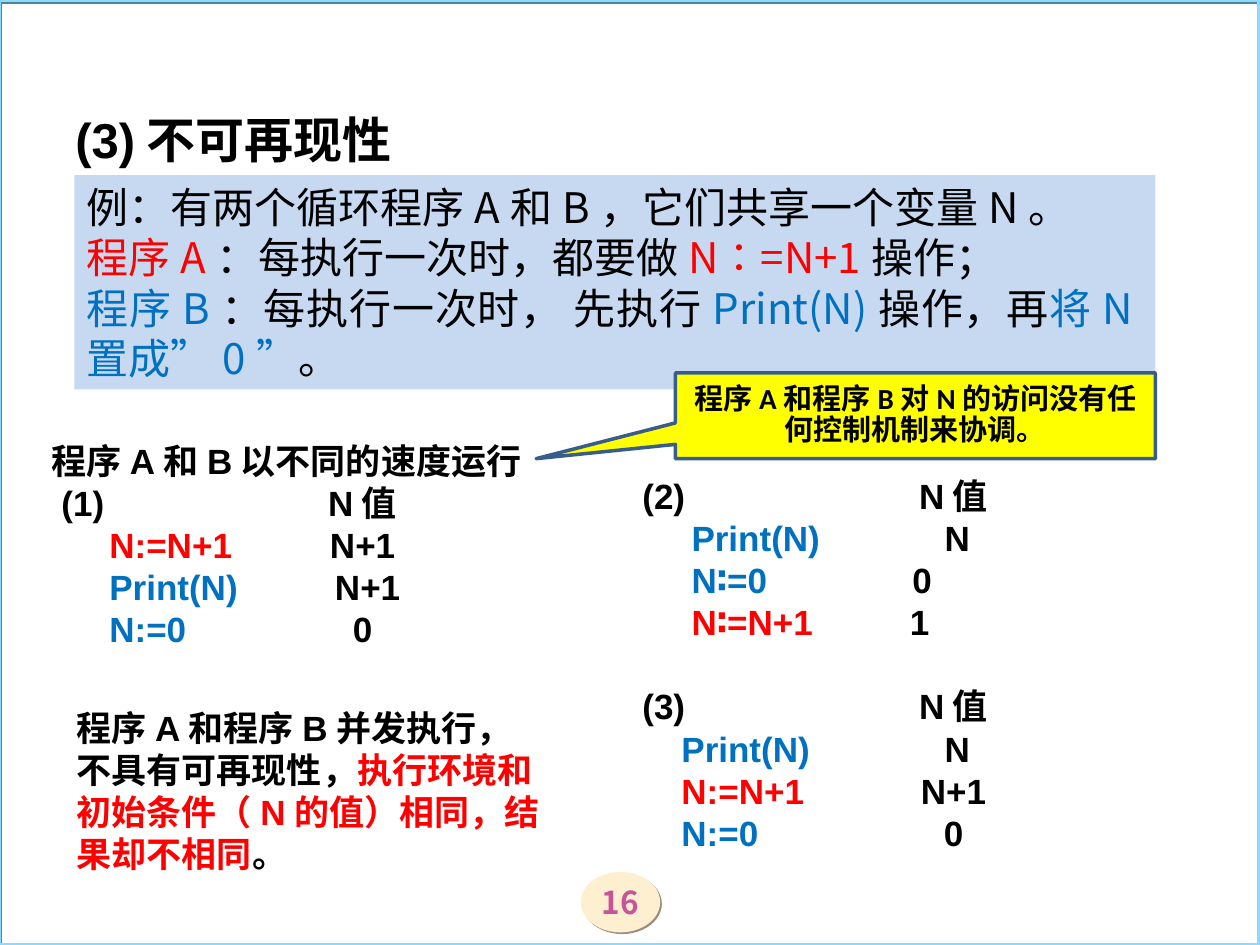
"""Build the slide on why concurrent programs are not reproducible."""
from lxml import etree
from pptx import Presentation
from pptx.dml.color import RGBColor
from pptx.enum.lang import MSO_LANGUAGE_ID
from pptx.enum.shapes import MSO_SHAPE
from pptx.enum.text import MSO_ANCHOR, PP_ALIGN
from pptx.oxml.ns import qn
from pptx.util import Inches, Pt

RECT, OVAL, CALL = MSO_SHAPE.RECTANGLE, MSO_SHAPE.OVAL, MSO_SHAPE.RECTANGULAR_CALLOUT
LEFT, MID, EVEN = PP_ALIGN.LEFT, PP_ALIGN.CENTER, PP_ALIGN.JUSTIFY
CHINESE = MSO_LANGUAGE_ID.CHINESE_SINGAPORE
CENTER = MSO_ANCHOR.MIDDLE
BLACK = RGBColor(0x00, 0x00, 0x00)
RED = RGBColor(0xFF, 0x00, 0x00)
BLUE = RGBColor(0x00, 0x70, 0xC0)
PINK = RGBColor(0xC7, 0x53, 0x99)
CREAM = RGBColor(0xFF, 0xEF, 0xD1)
PALE = RGBColor(0xC6, 0xD9, 0xF1)
YELLOW = RGBColor(0xFF, 0xFF, 0x00)
SKY = RGBColor(0x8A, 0xDB, 0xFF)
NAVY = RGBColor(0x38, 0x5D, 0x8A)
NOTO = "Noto Sans CJK SC"

deck = Presentation()
deck.slide_width, deck.slide_height = Inches(10), Inches(7.5)
COL, ROW = deck.slide_width // 100, deck.slide_height // 100
slide = deck.slides.add_slide(deck.slide_layouts[6])


def place(kind, x, y, wide, high, fill=None, edge=None, thick=0):
    """Put a shape, or a text box when kind is None, on the percent grid."""
    box = [int(x * COL), int(y * ROW), int(wide * COL), int(high * ROW)]
    if kind is None:
        return slide.shapes.add_textbox(*box)
    shape = slide.shapes.add_shape(kind, *box)
    shape.shadow.inherit = False
    if fill is None:
        shape.fill.background()
    else:
        shape.fill.solid()
        shape.fill.fore_color.rgb = fill
    if edge is None:
        shape.line.fill.background()
    else:
        shape.line.color.rgb = edge
        shape.line.width = Pt(thick)
    return shape


def write(shape, lines, size, face="Arial", bold=True, align=EVEN, anchor=MSO_ANCHOR.TOP):
    """Fill a shape with lines of (text, colour) runs and return its paragraphs."""
    frame = shape.text_frame
    frame.word_wrap = True
    frame.vertical_anchor = anchor
    for i, line in enumerate(lines):
        para = frame.add_paragraph() if i else frame.paragraphs[0]
        para.alignment = align
        for text, color in line:
            run = para.add_run()
            run.text = text
            font = run.font
            font.size, font.bold, font.name = Pt(size), bold, face
            font.color.rgb = color
            font.language_id = CHINESE
            east = etree.SubElement(font._element, qn("a:ea"))
            east.set("typeface", NOTO)
    return frame.paragraphs


badge = place(OVAL, 46.1, 92.27, 6.3, 6.4, CREAM)
write(badge, [[("16", PINK)]], 18, NOTO, align=MID, anchor=CENTER)
inner = badge.text_frame
inner.margin_left = inner.margin_right = inner.margin_top = inner.margin_bottom = 0
border = place(RECT, -0.1, 0, 100, 100, edge=SKY, thick=2.25)
for shape, tint in ((badge, "998F7D"), (border, "538399")):
    glow = shape._element.spPr.find(qn("a:effectLst"))
    shade = etree.SubElement(glow, qn("a:outerShdw"), blurRad="0", dist=str(Pt(1.4)),
                             dir="2700000", algn="ctr", rotWithShape="0")
    etree.SubElement(shade, qn("a:srgbClr"), val=tint)

task = place(RECT, 5.9, 18.53, 85.8, 22.67, PALE)
write(task, [
    [("例：有两个循环程序A和B，它们共享一个变量N。", BLACK)],
    [("程序A", RED), ("：每执行一次时，都要做", BLACK), ("N∶=N+1", RED), ("操作；", BLACK)],
    [("程序B", BLUE), ("：每执行一次时， 先执行", BLACK), ("Print(N)", BLUE),
     ("操作，再", BLACK), ("将N置成”0”", BLUE), ("。", BLACK)],
], 24, NOTO, False)

HEAD = "N值"
RUNS = (
    ((3.1, 45.87, 43.7, 32.53), "程序A和B以不同的速度运行", (
        (0.08, "(1)", BLACK, 2.47, HEAD), (0.46, "N:=N+1", RED, 2.47, "N+1"),
        (0.46, "Print(N)", BLUE, 2.51, "N+1"), (0.46, "N:=0", BLUE, 2.47, "0"))),
    ((50, 49.6, 50, 45.87), None, (
        (0, "(2)", BLACK, 2.47, HEAD), (0.39, "Print(N)", BLUE, 2.5, "N"),
        (0.39, "N∶=0", BLUE, 2.22, "0"), (0.39, "N∶=N+1", RED, 2.2, "1"),
        (0, "(3)", BLACK, 2.47, HEAD), (0.31, "Print(N)", BLUE, 2.5, "N"),
        (0.31, "N:=N+1", RED, 2.47, "N+1"), (0.31, "N:=0", BLUE, 2.47, "0"))),
)
for box, title, steps in RUNS:
    lines = [[(title, BLACK)]] if title else []
    for dent, code, color, stop, value in steps:
        lines.append([("\t" * (dent > 0) + code, color), ("\t" + value, BLACK)])
    paras = write(place(None, *box), lines, 20)
    for para, step in zip(paras[-len(steps):], steps):
        para.alignment = LEFT
        tabs = etree.SubElement(para._p.get_or_add_pPr(), qn("a:tabLst"))
        for spot, side in ((step[0], "l"), (step[3], "ctr")):
            if spot:
                etree.SubElement(tabs, qn("a:tab"), pos=str(Inches(spot)), algn=side)
        if step[1] == "(3)":
            para.space_before = Pt(24)

write(place(None, 5.1, 74.13, 39.1, 19.2), [[
    ("程序A和程序B并发执行，不具有可再现性，", BLACK),
    ("执行环境和初始条件（N的值）相同，结果却不相同", RED), ("。", BLACK)]], 20, align=LEFT)

topic = place(None, 5, 9.33, 28.8, 9.2)
write(topic, [[("(3)不可再现性", BLACK)]], 28, align=LEFT)[0].line_spacing = 1.25
topic.text_frame.word_wrap = False

note = place(CALL, 53.6, 39.47, 38.1, 9.07, YELLOW, NAVY, 2)
note.adjustments[0], note.adjustments[1] = -0.79, 0.5
write(note, [[("程序A和程序B对N的访问没有任何控制机制来协调。", BLACK)]],
      16.6, "Calibri", align=MID, anchor=CENTER)[0].line_spacing = 0.9

deck.save("out.pptx")
